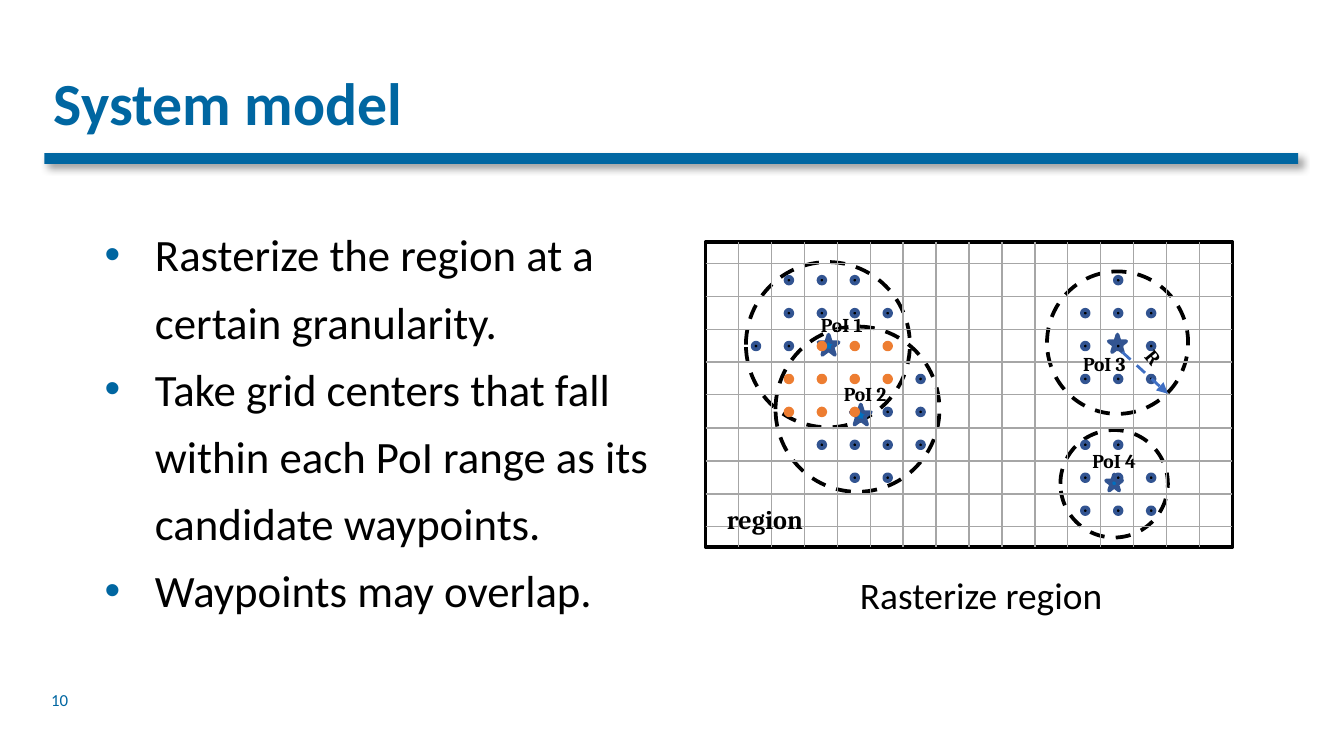
from lxml.etree import SubElement
from pptx import Presentation
from pptx.dml.color import RGBColor
from pptx.enum.dml import MSO_LINE
from pptx.enum.shapes import MSO_CONNECTOR, MSO_SHAPE
from pptx.enum.text import MSO_ANCHOR, MSO_AUTO_SIZE
from pptx.oxml.ns import qn
from pptx.util import Inches, Pt

BLUE = RGBColor(0x00, 0x66, 0xA1)
BLACK = RGBColor(0x00, 0x00, 0x00)
GRAY = RGBColor(0xA6, 0xA6, 0xA6)
STAR_BLUE = RGBColor(0x00, 0x70, 0xC0)
OUTLINE_BLUE = RGBColor(0x32, 0x54, 0x91)
ORANGE = RGBColor(0xED, 0x7D, 0x31)
ARROW_BLUE = RGBColor(0x3F, 0x6F, 0xC3)

CELL = 0.245
COLUMNS = 16
GRID_ROWS = 9
WAYPOINTS = [
    ".bbb.......b.",
    ".bbbb.....bbb",
    "bbooo.....bbb",
    ".oooob....bbb",
    ".ooobb.......",
    "..bbbb....bb.",
    "...bb.....bbb",
    "..........bbb",
]
WAYPOINT_COLORS = {"b": (BLACK, OUTLINE_BLUE), "o": (ORANGE, ORANGE)}
POIS = [
    ("PoI 1", (0.3, 0.15, 1.22, 1.23), (0.84, 0.69, 0.15), (0.76, 0.48)),
    ("PoI 2", (0.52, 0.63, 1.22, 1.23), (1.08, 1.21, 0.15), (0.93, 0.99)),
    ("PoI 3", (2.54, 0.22, 1.05, 1.06), (3, 0.69, 0.13), (2.71, 0.77)),
    ("PoI 4", (2.64, 1.4, 0.8, 0.8), (2.98, 1.73, 0.12), (2.78, 1.49)),
]
BULLETS = [
    "Rasterize the region at a certain granularity.",
    "Take grid centers that fall within each PoI range as its candidate waypoints.",
    "Waypoints may overlap.",
]


def add_figure(slide, kind, left, top, width, height, fill=None, line=None):
    figure = slide.shapes.add_shape(
        kind, Inches(left), Inches(top), Inches(width), Inches(height))
    figure.shadow.inherit = False
    if fill is None:
        figure.fill.background()
    else:
        figure.fill.solid()
        figure.fill.fore_color.rgb = fill
    if line is None:
        figure.line.fill.background()
    else:
        figure.line.color.rgb = line
        figure.line.width = Pt(2)
    return figure


def add_line(slide, x1, y1, x2, y2, color, width):
    line = slide.shapes.add_connector(
        MSO_CONNECTOR.STRAIGHT, Inches(x1), Inches(y1), Inches(x2), Inches(y2))
    line.line.color.rgb = color
    line.line.width = Pt(width)
    SubElement(line._element.spPr, qn("a:effectLst"))
    return line


def add_run(paragraph, text, size, font, color, bold=False):
    run = paragraph.add_run()
    run.text = text
    run.font.size = Pt(size)
    run.font.name = font
    run.font.color.rgb = color
    run.font.bold = bold


def add_box(slide, left, top, width, height, wrap=True):
    box = slide.shapes.add_textbox(
        Inches(left), Inches(top), Inches(width), Inches(height))
    box.text_frame.word_wrap = wrap
    box.text_frame.auto_size = MSO_AUTO_SIZE.SHAPE_TO_FIT_TEXT
    return box


def add_label(slide, text, left, top, width, height, size,
              font="Cambria", color=BLACK, bold=True, wrap=False):
    label = add_box(slide, left, top, width, height, wrap)
    add_run(label.text_frame.paragraphs[0], text, size, font, color, bold)
    return label


def set_insets(frame, horizontal, vertical):
    frame.auto_size = MSO_AUTO_SIZE.NONE
    frame.vertical_anchor = MSO_ANCHOR.MIDDLE
    frame.margin_left = frame.margin_right = Inches(horizontal)
    frame.margin_top = frame.margin_bottom = Inches(vertical)


def add_header(slide, left, top, width):
    title = add_label(slide, "System model", left, top, width, 0.66, 32,
                      "Calibri", BLUE, wrap=True)
    set_insets(title.text_frame, 0.07, 0.07)
    title.text_frame.paragraphs[0].line_spacing = 0.9
    rule = add_figure(slide, MSO_SHAPE.RECTANGLE, left, top + 0.68, width, 0.08, BLUE)
    effects = rule._element.spPr.find(qn("a:effectLst"))
    shadow = SubElement(effects, qn("a:outerShdw"), blurRad=str(Pt(4)),
                        dist=str(Pt(3)), dir=str(45 * 60000), rotWithShape="0")
    shadow_color = SubElement(shadow, qn("a:srgbClr"), val=str(BLACK))
    SubElement(shadow_color, qn("a:alpha"), val="40000")


def add_page_number(slide, left, top):
    number = add_label(slide, "10", left, top, 1.69, 0.3, 9,
                       "Calibri", BLUE, False, True)
    set_insets(number.text_frame, 0.07, 0.04)


def add_bullets(slide, left, top, width, height):
    frame = add_box(slide, left, top, width, height).text_frame
    for index, text in enumerate(BULLETS):
        paragraph = frame.add_paragraph() if index else frame.paragraphs[0]
        properties = paragraph._p.get_or_add_pPr()
        properties.set("marL", str(Pt(27)))
        properties.set("indent", str(-Pt(27)))
        bullet_color = SubElement(properties, qn("a:buClr"))
        SubElement(bullet_color, qn("a:srgbClr"), val=str(BLUE))
        SubElement(properties, qn("a:buFont"), typeface="Arial")
        SubElement(properties, qn("a:buChar"), char="•")
        paragraph.line_spacing = 1.25
        add_run(paragraph, text, 24, "Calibri", BLACK)


def add_grid(slide, left, top, width, height):
    border = add_figure(slide, MSO_SHAPE.RECTANGLE, left, top, width, height, line=BLACK)
    for column in range(1, COLUMNS):
        x = left + column * CELL
        line = add_line(slide, x, top, x, top + height, GRAY, 0.75)
        if column == COLUMNS // 2:
            line.begin_connect(border, 0)
            line.end_connect(border, 2)
    for row in range(GRID_ROWS):
        y = top + 0.16 + row * CELL
        line = add_line(slide, left, y, left + width, y, GRAY, 0.75)
        if row == GRID_ROWS // 2:
            line.begin_connect(border, 1)
            line.end_connect(border, 3)


def add_waypoints(slide, left, top):
    for row, marks in enumerate(WAYPOINTS):
        for column, mark in enumerate(marks):
            if mark in WAYPOINT_COLORS:
                add_figure(slide, MSO_SHAPE.OVAL, left + column * CELL,
                           top + row * CELL, 0.05, 0.05, *WAYPOINT_COLORS[mark])


def add_region(slide, left, top, width, height):
    for _, (x, y, w, h), (star_x, star_y, star_size), _ in POIS:
        coverage = add_figure(slide, MSO_SHAPE.OVAL, left + x, top + y, w, h, line=BLACK)
        coverage.line.dash_style = MSO_LINE.DASH
        add_figure(slide, MSO_SHAPE.STAR_5_POINT, left + star_x, top + star_y,
                   star_size, star_size, STAR_BLUE, OUTLINE_BLUE)
    add_grid(slide, left, top, width, height)
    add_waypoints(slide, left + 0.35, top + 0.26)
    add_label(slide, "region", left + 0.06, top + 1.9, 0.79, 0.34, 14)
    radius_label = add_label(slide, "R", left + 3.19, top + 0.71, 0.27, 0.28, 10.5, wrap=True)
    radius_label.rotation = 50.1
    radius = add_line(slide, left + 3.1, top + 0.82, left + 3.44, top + 1.13, ARROW_BLUE, 1.5)
    radius.line.dash_style = MSO_LINE.DASH
    SubElement(radius.line._get_or_add_ln(), qn("a:tailEnd"), type="triangle")
    for name, _, _, (x, y) in POIS:
        add_label(slide, name, left + x, top + y, 0.55, 0.28, 10.5)
    add_label(slide, "Rasterize region", left + 1.05, top + 2.41, 2.04, 0.44, 20,
              "Calibri", bold=False)


def main():
    presentation = Presentation()
    presentation.slide_width = Inches(10)
    presentation.slide_height = Inches(10) * 9 // 16
    slide = presentation.slides.add_slide(presentation.slide_layouts[6])
    add_header(slide, 0.33, 0.46, 9.33)
    add_page_number(slide, 0.31, 5.06)
    add_region(slide, 5.25, 1.8, 3.92, 2.27)
    add_bullets(slide, 0.68, 1.54, 4.33, 3.13)
    presentation.save("out.pptx")


if __name__ == "__main__":
    main()
